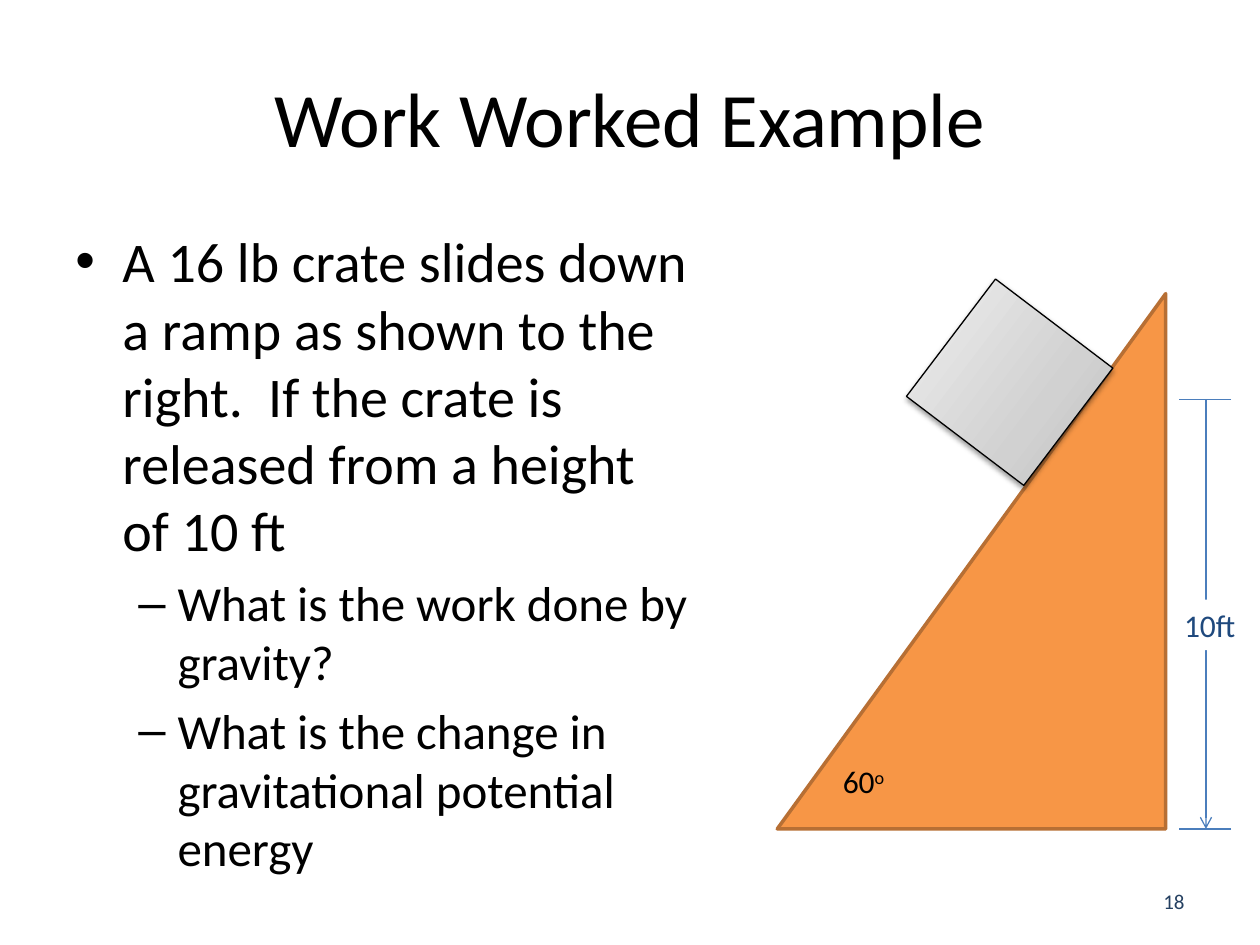
from copy import deepcopy
from lxml.etree import SubElement
from pptx import Presentation
from pptx.dml.color import RGBColor
from pptx.enum.shapes import MSO_CONNECTOR as CONN, MSO_SHAPE as SHAPE
from pptx.enum.text import MSO_ANCHOR as ANCHOR, PP_ALIGN as ALIGN
from pptx.oxml.ns import qn
from pptx.util import Cm, Pt

TITLE = "Work Worked Example"
BODY = [
    (0, "A 16 lb crate slides down a ramp as shown to the right.  "
        "If the crate is released from a height of 10 ft"),
    (1, "What is the work done by gravity?"),
    (1, "What is the change in gravitational potential energy"),
]
LEVELS = [("•", 32, 0.95, -0.95), ("–", 28, 2.06, -0.79)]
CRATE_STOPS = [(0, "BDBDBD"), (0.35, "D1D1D1"), (1, "EEEEEE")]
TOP, BOTTOM = 8.05, 16.71
DIM_X, TICK_LEFT, TICK_RIGHT = 24.31, 23.77, 24.82
DIM_LINES = [
    (DIM_X, TOP, DIM_X, BOTTOM, True),
    (TICK_RIGHT, BOTTOM, TICK_LEFT, BOTTOM, False),
    (TICK_RIGHT, TOP, TICK_LEFT, TOP, False),
]


def rgb(value):
    return RGBColor.from_string(value)


def style(p, size, color="000000"):
    for r in p.runs:
        r.font.name, r.font.size = "Calibri", Pt(size)
        r.font.color.rgb = rgb(color)


def add_text(s, box, text, size, color="000000", align=ALIGN.LEFT,
             anchor=ANCHOR.TOP, wrap=True):
    sp = s.shapes.add_textbox(*map(Cm, box))
    tf = sp.text_frame
    tf.word_wrap, tf.vertical_anchor = wrap, anchor
    p = tf.paragraphs[0]
    p.text, p.alignment = text, align
    style(p, size, color)
    return sp


def add_shape(s, kind, box, line, width):
    sp = s.shapes.add_shape(kind, *map(Cm, box))
    sp.shadow.inherit = False
    sp.line.color.rgb, sp.line.width = rgb(line), Pt(width)
    return sp


def add_body(s):
    tf = s.shapes.add_textbox(*map(Cm, (1.27, 4.45, 12.9, 12.7))).text_frame
    tf.word_wrap = True
    for i, (level, text) in enumerate(BODY):
        bullet, size, margin, indent = LEVELS[level]
        p = tf.add_paragraph() if i else tf.paragraphs[0]
        p.text, p.level = text, level
        p.space_before = Pt(size * 0.2 if i else 0)
        pPr = p._p.get_or_add_pPr()
        pPr.set("marL", str(Cm(margin)))
        pPr.set("indent", str(Cm(indent)))
        SubElement(pPr, qn("a:buFont"), typeface="Arial")
        SubElement(pPr, qn("a:buChar"), char=bullet)
        style(p, size)


def add_crate(s):
    sp = add_shape(s, SHAPE.RECTANGLE, (18.87, 6.22, 2.97, 2.97), "000000", 0.75)
    sp.rotation = 307.2
    sp.fill.gradient()
    sp.fill.gradient_angle = 90
    stops = sp._element.spPr.find(qn("a:gradFill")).find(qn("a:gsLst"))
    stops.append(deepcopy(stops[0]))
    for stop, (position, color) in zip(sp.fill.gradient_stops, CRATE_STOPS):
        stop.position, stop.color.rgb = position, rgb(color)
    effects = sp._element.spPr.find(qn("a:effectLst"))
    shadow = SubElement(effects, qn("a:outerShdw"), blurRad=str(Pt(3.1)),
                        dist=str(Pt(1.6)), dir="5400000", rotWithShape="0")
    color = SubElement(shadow, qn("a:srgbClr"), val="000000")
    SubElement(color, qn("a:alpha"), val="38000")


def add_line(s, x1, y1, x2, y2, arrow):
    c = s.shapes.add_connector(CONN.STRAIGHT, *map(Cm, (x1, y1, x2, y2)))
    c.line.color.rgb, c.line.width = rgb("4B7EBC"), Pt(0.75)
    if arrow:
        SubElement(c.line._get_or_add_ln(), qn("a:tailEnd"), type="arrow")
    SubElement(c._element.spPr, qn("a:effectLst"))


def main():
    prs = Presentation()
    prs.slide_width, prs.slide_height = Cm(25.4), Cm(19.05)
    s = prs.slides.add_slide(prs.slide_layouts[6])

    add_text(s, (1.27, 0.76, 22.86, 3.18), TITLE, 44,
             align=ALIGN.CENTER, anchor=ANCHOR.MIDDLE)
    add_body(s)
    add_text(s, (18.2, 17.66, 5.93, 1.01), "18", 12, "254061",
             ALIGN.RIGHT, ANCHOR.MIDDLE)

    ramp = add_shape(s, SHAPE.ISOSCELES_TRIANGLE, (15.67, 5.92, 7.83, 10.79), "B76F34", 2)
    ramp.adjustments[0] = 1
    ramp.fill.solid()
    ramp.fill.fore_color.rgb = rgb("F79646")
    add_crate(s)

    angle = add_text(s, (16.74, 15.24, 1.4, 1.02), "60", 18, wrap=False)
    p = angle.text_frame.paragraphs[0]
    p.add_run().text = "o"
    style(p, 18)
    p.runs[1].font._element.set("baseline", "30000")

    for line in DIM_LINES[:2]:
        add_line(s, *line)
    height = add_text(s, (23.62, 12.09, 1.57, 1.02), "10ft", 18, "1F497D", wrap=False)
    height.fill.solid()
    height.fill.fore_color.rgb = rgb("FFFFFF")
    add_line(s, *DIM_LINES[2])

    prs.save("out.pptx")


if __name__ == "__main__":
    main()
